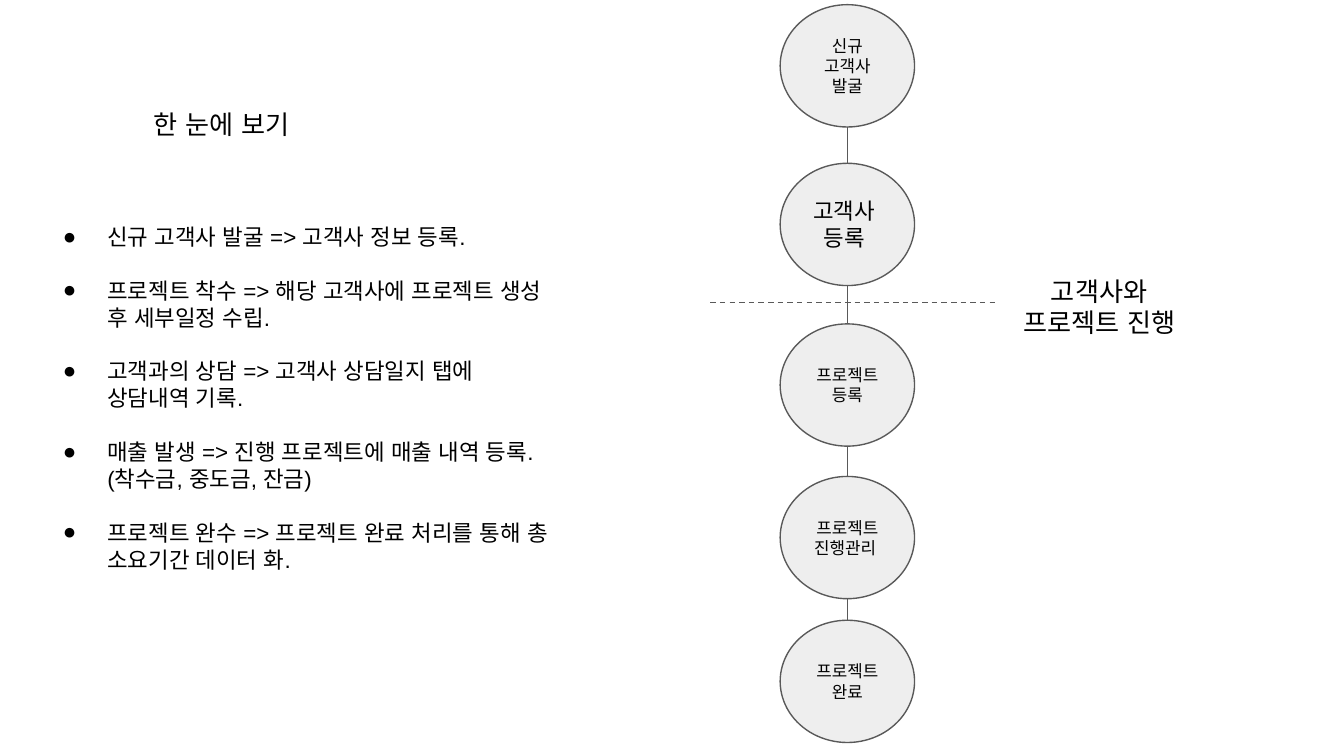
from dataclasses import dataclass
from itertools import pairwise

from lxml import etree
from pptx import Presentation
from pptx.dml.color import RGBColor
from pptx.enum.dml import MSO_LINE
from pptx.enum.lang import MSO_LANGUAGE_ID
from pptx.enum.shapes import MSO_CONNECTOR, MSO_SHAPE
from pptx.enum.text import MSO_ANCHOR, MSO_AUTO_SIZE, PP_ALIGN
from pptx.oxml.ns import qn
from pptx.util import Pt

STRAIGHT = MSO_CONNECTOR.STRAIGHT
OVAL = MSO_SHAPE.OVAL
DASH = MSO_LINE.DASH
KOREAN = MSO_LANGUAGE_ID.KOREAN
TOP, MIDDLE = MSO_ANCHOR.TOP, MSO_ANCHOR.MIDDLE
NO_AUTOFIT = MSO_AUTO_SIZE.NONE
LEFT, CENTER = PP_ALIGN.LEFT, PP_ALIGN.CENTER

EMU_PER_PX = 4572


@dataclass(frozen=True)
class Theme:
    font: str = "Arial"
    text: RGBColor = RGBColor(0x00, 0x00, 0x00)
    fill: RGBColor = RGBColor(0xEE, 0xEE, 0xEE)
    line: RGBColor = RGBColor(0x59, 0x59, 0x59)
    background: RGBColor = RGBColor(0xFF, 0xFF, 0xFF)
    heading: float = 14
    body: float = 12
    small: float = 9
    bullet_gap: float = 14.4
    line_width: float = 0.75


THEME = Theme()

BULLETS = [
    "신규 고객사 발굴 => 고객사 정보 등록.",
    "프로젝트 착수 => 해당 고객사에 프로젝트 생성 후 세부일정 수립.",
    "고객과의 상담 => 고객사 상담일지 탭에 상담내역 기록.",
    "매출 발생 => 진행 프로젝트에 매출 내역 등록. (착수금, 중도금, 잔금)",
    "프로젝트 완수 => 프로젝트 완료 처리를 통해 총 소요기간 데이터 화.",
]

STEPS = [
    (0, ["신규 고객사 발굴"], THEME.small),
    (236, ["고객사 ", "등록 "], THEME.body),
    (475, ["프로젝트", "등록"], THEME.small),
    (702, ["프로젝트", "진행관리 "], THEME.small),
    (916, ["프로젝트", "완료"], THEME.small),
]


def px(value):
    return value * EMU_PER_PX


def place(shape, left, top, width, height):
    shape.left, shape.top = px(left), px(top)
    shape.width, shape.height = px(width), px(height)


def format_paragraph(paragraph, size, alignment):
    paragraph.alignment = alignment
    font = paragraph.font
    font.name = THEME.font
    font.size = Pt(size)
    font.color.rgb = THEME.text
    font.language_id = KOREAN
    defaults = paragraph._p.pPr.find(qn("a:defRPr"))
    for script in ("a:ea", "a:cs"):
        etree.SubElement(defaults, qn(script)).set("typeface", THEME.font)


def write_text(shape, lines, size, alignment=CENTER, anchor=TOP):
    frame = shape.text_frame
    frame.word_wrap = True
    frame.auto_size = NO_AUTOFIT
    frame.vertical_anchor = anchor
    frame.margin_left = frame.margin_right = px(20)
    frame.margin_top = frame.margin_bottom = px(20)
    frame.text = "\n".join(lines)
    for paragraph in frame.paragraphs:
        format_paragraph(paragraph, size, alignment)
    return frame


def add_text(slide, box, lines, size, alignment=CENTER):
    shape = slide.shapes.add_textbox(*map(px, box))
    return write_text(shape, lines, size, alignment)


def add_line(slide, start, end):
    connector = slide.shapes.add_connector(STRAIGHT, *map(px, start + end))
    connector.line.color.rgb = THEME.line
    connector.line.width = Pt(THEME.line_width)
    etree.SubElement(connector._element.spPr, qn("a:effectLst"))
    return connector


def add_heading(slide, box):
    title = slide.shapes.title
    place(title, *box)
    write_text(title, ["한 눈에 보기"], THEME.heading)


def add_bullet(paragraph):
    properties = paragraph._p.pPr
    properties.set("marL", str(px(100)))
    properties.set("indent", str(px(-66)))
    defaults = properties.find(qn("a:defRPr"))
    color = etree.Element(qn("a:buClr"))
    etree.SubElement(color, qn("a:srgbClr")).set("val", str(THEME.text))
    font = etree.Element(qn("a:buFont"), typeface=THEME.font)
    character = etree.Element(qn("a:buChar"), char="●")
    for element in (color, font, character):
        defaults.addprevious(element)


def add_bullets(slide, box):
    frame = add_text(slide, box, BULLETS, THEME.body, LEFT)
    frame.margin_top = px(60)
    for paragraph in frame.paragraphs:
        paragraph.space_after = Pt(THEME.bullet_gap)
        add_bullet(paragraph)


def add_step(slide, box, lines, size):
    circle = slide.shapes.add_shape(OVAL, *map(px, box))
    circle.shadow.inherit = False
    circle.fill.solid()
    circle.fill.fore_color.rgb = THEME.fill
    circle.line.color.rgb = THEME.line
    circle.line.width = Pt(THEME.line_width)
    write_text(circle, lines, size, anchor=MIDDLE)


def add_process(slide, box):
    left, top, width, height = box
    step_height = height - STEPS[-1][0]
    center = left + width // 2
    for offset, lines, size in STEPS:
        add_step(slide, (left, top + offset, width, step_height), lines, size)
    for (above, *_), (below, *_) in pairwise(STEPS):
        add_line(slide, (center, top + above + step_height), (center, top + below))


def add_phase_divider(slide, box):
    left, top, width, height = box
    label_width = 300
    label_left = left + width - label_width
    line_top = top + 60
    divider = add_line(slide, (left, line_top), (label_left, line_top))
    divider.line.dash_style = DASH
    label_box = (label_left, top, label_width, height)
    add_text(slide, label_box, ["고객사와", "프로젝트 진행"], THEME.heading)


def add_overview_slide(presentation):
    slide = presentation.slides.add_slide(presentation.slide_layouts[5])
    slide.background.fill.solid()
    slide.background.fill.fore_color.rgb = THEME.background
    add_heading(slide, (180, 141, 300, 92))
    add_bullets(slide, (40, 272, 816, 618))
    add_process(slide, (1161, 7, 200, 1098))
    add_phase_divider(slide, (1057, 390, 729, 92))


def main():
    presentation = Presentation()
    presentation.slide_width = px(2000)
    presentation.slide_height = px(1125)
    add_overview_slide(presentation)
    presentation.save("out.pptx")


if __name__ == "__main__":
    main()
